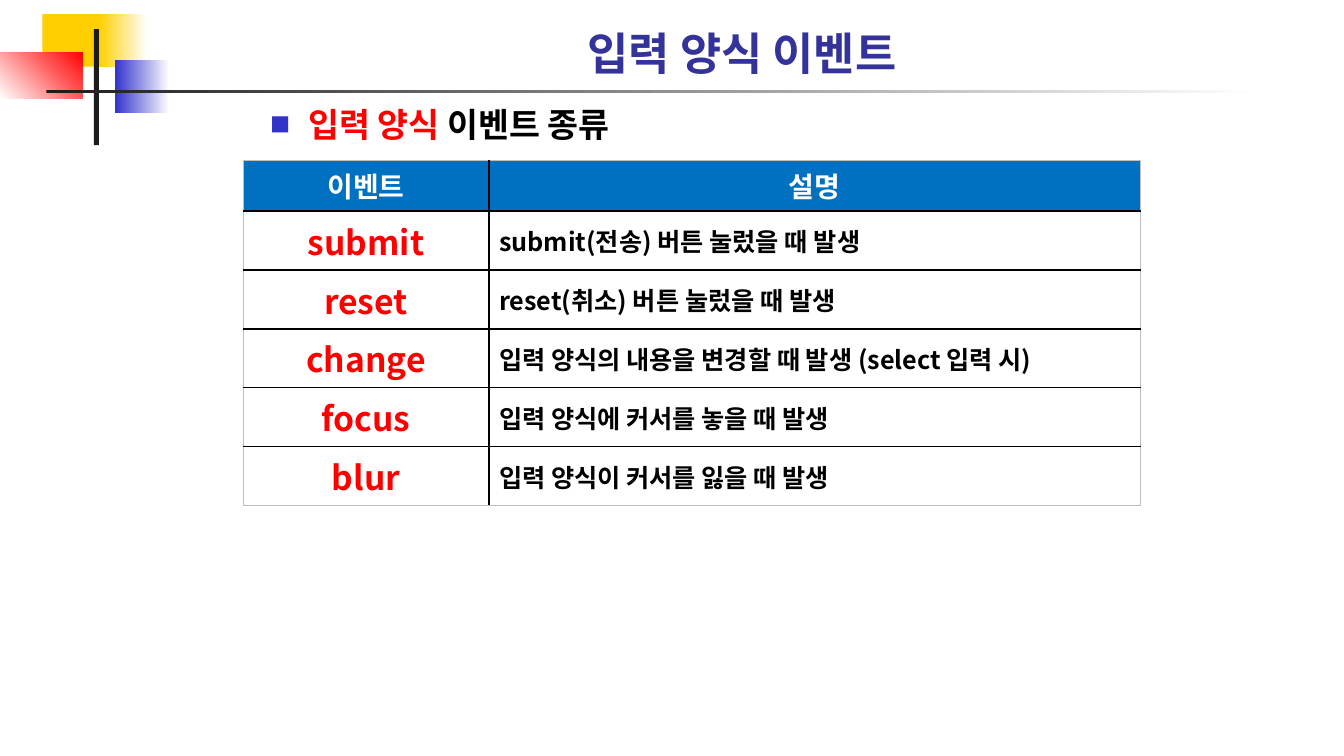
from lxml import etree
from pptx import Presentation
from pptx import util as u
from pptx.dml.color import RGBColor
from pptx.enum import shapes, text
from pptx.oxml.ns import qn

FONT = "Noto Sans CJK KR"
BLACK, WHITE, RED, YELLOW, BLUE = "000000", "FFFFFF", "FF0000", "FFCF01", "3333CC"
CHARCOAL, NAVY, HEADER_BLUE, EDGE_GREY = "1C1C1C", "333399", "0070C0", "BFBFBF"

TITLE = "입력 양식 이벤트"
HEADING = [("입력 양식 ", RED), ("이벤트 종류", BLACK)]
EVENTS = [
    ("이벤트", "설명"),
    ("submit", "submit(전송) 버튼 눌렀을 때 발생"),
    ("reset", "reset(취소) 버튼 눌렀을 때 발생"),
    ("change", "입력 양식의 내용을 변경할 때 발생 (select 입력 시)"),
    ("focus", "입력 양식에 커서를 놓을 때 발생"),
    ("blur", "입력 양식이 커서를 잃을 때 발생"),
]
# left, top, width, height, colours from start to end, gradient angle
ORNAMENTS = [
    (0.42, 0.14, 0.64, 0.52, [YELLOW], 0),
    (0.98, 0.14, 0.48, 0.52, [YELLOW, WHITE], 0),
    (1.14, 0.6, 0.54, 0.52, [BLUE, WHITE], 0),
    (0, 0.52, 0.82, 0.46, [WHITE, RED], 45),
    (0.93, 0.29, 0.05, 1.15, [CHARCOAL], 0),
    (0.46, 0.89, 12, 0.03, [CHARCOAL, WHITE], 0),
]
COLUMN_WIDTHS = [2.44, 6.46]
ROW_HEIGHTS = [0.49] + [0.585] * (len(EVENTS) - 1)
CENTER, LEFT = text.PP_ALIGN.CENTER, text.PP_ALIGN.LEFT


def rgb(value):
    """Turn a hex string into a colour."""
    return RGBColor.from_string(value)


def place(box, *lengths):
    """Move and size a box, in inches."""
    for name, length in zip(("left", "top", "width", "height"), lengths):
        setattr(box, name, u.Inches(length))


def add_span(para, words, size, color):
    """Add bold words to a paragraph."""
    span = para.add_run()
    span.text = words
    for name, value in {"name": FONT, "size": u.Pt(size), "bold": True}.items():
        setattr(span.font, name, value)
    span.font.color.rgb = rgb(color)
    etree.SubElement(span.font._element, qn("a:ea"), typeface=FONT)


def add_ornament(page, left, top, width, height, colors, angle):
    """Draw one plain or gradient rectangle."""
    box = page.shapes.add_shape(shapes.MSO_SHAPE.RECTANGLE,
                                *map(u.Inches, (left, top, width, height)))
    box.shadow.inherit = False
    box.line.fill.background()
    if len(colors) == 1:
        box.fill.solid()
        box.fill.fore_color.rgb = rgb(colors[0])
        return
    box.fill.gradient()
    box.fill.gradient_angle = angle
    for stop, color, position in zip(box.fill.gradient_stops, colors, (0, 1)):
        stop.color.rgb = rgb(color)
        stop.position = position


def set_borders(cell, outer):
    """Draw grey outer and black inner sides; outer holds the outer ones."""
    props = cell._tc.get_or_add_tcPr()
    for index, side in enumerate(("lnL", "lnR", "lnT", "lnB")):
        width, color = (0.5, EDGE_GREY) if side in outer else (1, BLACK)
        line = etree.Element(qn("a:" + side), w=str(u.Pt(width)))
        fill = etree.SubElement(line, qn("a:solidFill"))
        etree.SubElement(fill, qn("a:srgbClr"), val=color)
        props.insert(index, line)


def add_bullet(para):
    """Give a paragraph a small blue square and a hanging indent."""
    props = para._p.get_or_add_pPr()
    indent = u.Inches(0.38)
    props.set("marL", str(indent))
    props.set("indent", str(-indent))
    color = etree.SubElement(props, qn("a:buClr"))
    etree.SubElement(color, qn("a:srgbClr"), val=BLUE)
    etree.SubElement(props, qn("a:buSzPct"), val="60000")
    etree.SubElement(props, qn("a:buFont"), typeface=FONT)
    etree.SubElement(props, qn("a:buChar"), char="■")


def add_event_table(page):
    """Build the table of events."""
    table = page.shapes.add_table(
        len(EVENTS), len(COLUMN_WIDTHS), u.Inches(2.41), u.Inches(1.59),
        u.Inches(sum(COLUMN_WIDTHS)), u.Inches(sum(ROW_HEIGHTS))).table
    table.horz_banding = False
    for column, width in zip(table.columns, COLUMN_WIDTHS):
        column.width = u.Inches(width)
    for row, height in zip(table.rows, ROW_HEIGHTS):
        row.height = u.Inches(height)
    for r, words in enumerate(EVENTS):
        for c, word in enumerate(words):
            header, name = r == 0, c == 0
            size, color = (20, WHITE) if header else (24, RED) if name else (18, BLACK)
            cell = table.cell(r, c)
            cell.vertical_anchor = text.MSO_ANCHOR.MIDDLE
            cell.fill.solid()
            cell.fill.fore_color.rgb = rgb(HEADER_BLUE if header else WHITE)
            para = cell.text_frame.paragraphs[0]
            para.alignment = CENTER if header or name else LEFT
            add_span(para, word, size, color)
            outer = {"lnL" if name else "lnR"}
            if header:
                outer.add("lnT")
            if r == len(EVENTS) - 1:
                outer.add("lnB")
            set_borders(cell, outer)


deck = Presentation()
deck.slide_width, deck.slide_height = u.Inches(13.33), u.Inches(7.5)
page = deck.slides.add_slide(deck.slide_layouts[1])
for ornament in ORNAMENTS:
    add_ornament(page, *ornament)

title, body = page.placeholders
place(title, 1.68, 0.23, 11.36, 0.61)
place(body, 2.58, 0.98, 9.09, 0.72)
for box, anchor in ((title, text.MSO_ANCHOR.BOTTOM), (body, text.MSO_ANCHOR.TOP)):
    frame = {"vertical_anchor": anchor, "word_wrap": True,
             "auto_size": text.MSO_AUTO_SIZE.NONE}
    for name, value in frame.items():
        setattr(box.text_frame, name, value)

title_para = title.text_frame.paragraphs[0]
title_para.alignment = CENTER
add_span(title_para, TITLE, 32, NAVY)
heading_para = body.text_frame.paragraphs[0]
add_bullet(heading_para)
for words, color in HEADING:
    add_span(heading_para, words, 24, color)

add_event_table(page)
deck.save("out.pptx")
